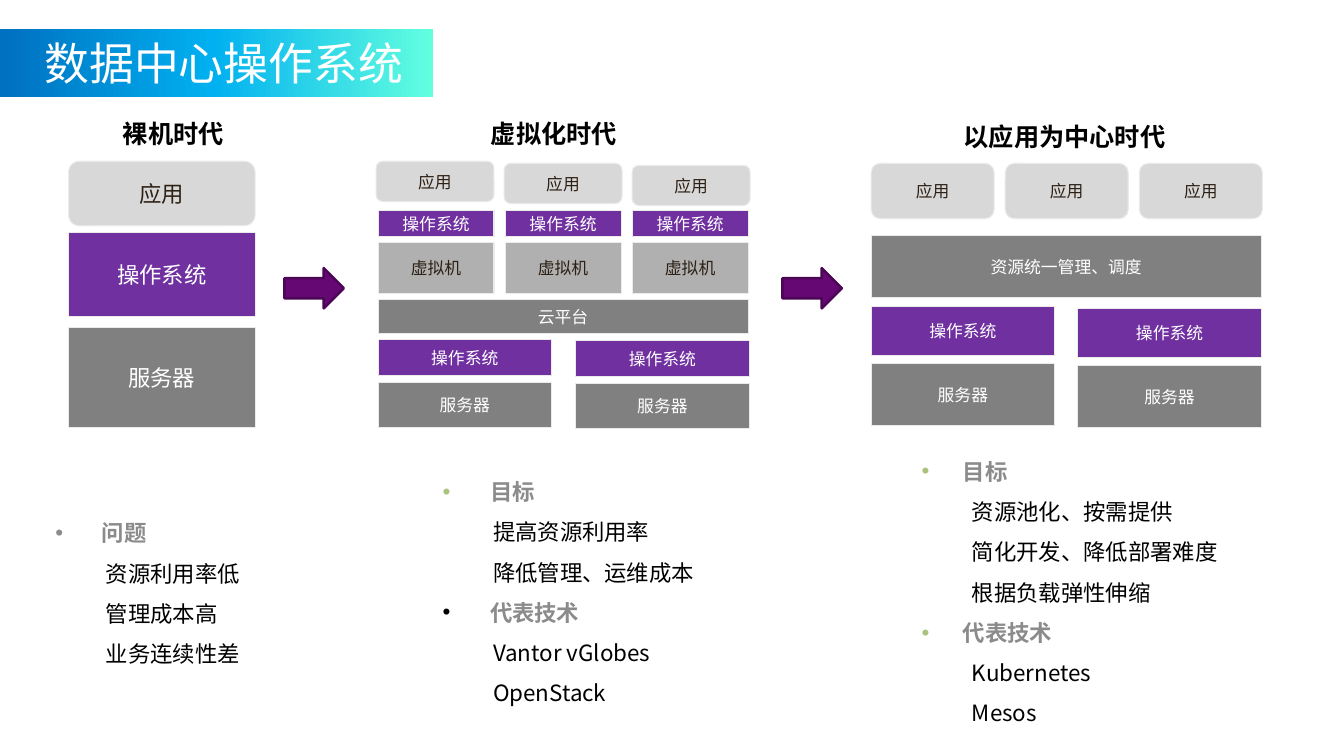
from copy import deepcopy
from dataclasses import dataclass

from lxml.etree import SubElement
from pptx import Presentation
from pptx.dml.color import RGBColor
from pptx.enum.shapes import MSO_SHAPE as Preset
from pptx.enum.text import MSO_ANCHOR as Anchor, MSO_AUTO_SIZE as AutoSize, PP_ALIGN as Align
from pptx.oxml.ns import qn
from pptx.util import Inches, Pt

FONT = "Noto Sans CJK SC"
COLORS = {
    "white": "FFFFFF", "black": "000000", "brown": "2D2015", "border": "EBEBEB",
    "light": "D8D8D8", "medium": "B0B0B0", "dark": "808080", "purple": "7030A0",
    "arrow": "660874", "arrow_line": "4B0656", "topic": "8B8B8B", "green": "A9C37C",
    "blue": "0070C0", "sky": "00B0F0", "mint": "62FFDF",
}


@dataclass
class Style:
    preset: Preset
    fill: str
    text: str


@dataclass
class Row:
    text: str
    style: Style
    left: float
    top: float
    width: float
    height: float
    count: int = 1
    pitch: float = 0
    drop: float = 0


@dataclass
class Topic:
    text: str
    bullet: str
    items: list[str]


@dataclass
class Stage:
    heading: str
    heading_box: tuple[float, float, float, float]
    size: int
    rows: list[Row]
    placeholder: int
    list_box: tuple[float, float, float, float]
    indent: float
    topics: list[Topic]


APP = Style(Preset.ROUNDED_RECTANGLE, "light", "brown")
SYSTEM = Style(Preset.RECTANGLE, "purple", "white")
MACHINE = Style(Preset.RECTANGLE, "medium", "brown")
BASE = Style(Preset.RECTANGLE, "dark", "white")

STAGES = [
    Stage("裸机时代", (1.12, 1.12, 1.21, 0.4), 16, [
        Row("应用", APP, 0.68, 1.6, 1.85, 0.64),
        Row("操作系统", SYSTEM, 0.68, 2.31, 1.85, 0.83),
        Row("服务器", BASE, 0.68, 3.25, 1.85, 0.99),
    ], 1, (0.45, 4.97, 4.75, 1.72), 0.46, [
        Topic("问题", "topic", ["资源利用率低", "管理成本高", "业务连续性差"]),
    ]),
    Stage("虚拟化时代", (4.77, 1.12, 1.46, 0.4), 12, [
        Row("应用", APP, 3.73, 1.6, 1.17, 0.4, 3, 1.27, 0.02),
        Row("操作系统", SYSTEM, 3.75, 2.09, 1.15, 0.26, 3, 1.26),
        Row("虚拟机", MACHINE, 3.75, 2.41, 1.15, 0.5, 3, 1.26),
        Row("云平台", BASE, 3.75, 2.97, 3.67, 0.34),
        Row("操作系统", SYSTEM, 3.75, 3.37, 1.72, 0.36, 2, 1.96, 0.01),
        Row("服务器", BASE, 3.75, 3.79, 1.72, 0.45, 2, 1.96, 0.01),
    ], 2, (4.29, 4.56, 4.75, 2.52), 0.47, [
        Topic("目标", "green", ["提高资源利用率", "降低管理、运维成本"]),
        Topic("代表技术", "black", ["Vantor vGlobes", "OpenStack"]),
    ]),
    Stage("以应用为中心时代", (9.46, 1.15, 2.21, 0.4), 12, [
        Row("应用", APP, 8.64, 1.62, 1.22, 0.55, 3, 1.33),
        Row("资源统一管理、调度", BASE, 8.64, 2.34, 3.87, 0.61),
        Row("操作系统", SYSTEM, 8.64, 3.04, 1.82, 0.49, 2, 2.05, 0.02),
        Row("服务器", BASE, 8.64, 3.61, 1.82, 0.61, 2, 2.05, 0.02),
    ], 4, (9.04, 4.36, 4.75, 2.93), 0.41, [
        Topic("目标", "green", ["资源池化、按需提供", "简化开发、降低部署难度", "根据负载弹性伸缩"]),
        Topic("代表技术", "green", ["Kubernetes", "Mesos"]),
    ]),
]


def rgb(name: str) -> RGBColor:
    return RGBColor.from_string(COLORS[name])


def write(paragraph, text: str, *, size: int, color: str = "black", bold: bool = False,
          font: str = FONT, align: Align = Align.LEFT) -> None:
    paragraph.alignment = align
    paragraph.space_before = Pt(0)
    run = paragraph.add_run()
    run.text = text
    run.font.size = Pt(size)
    run.font.bold = bold
    run.font.color.rgb = rgb(color)
    run.font.name = font
    SubElement(run._r.get_or_add_rPr(), qn("a:ea"), typeface=FONT)


def place(shape, box: tuple[float, float, float, float]) -> None:
    shape.left, shape.top, shape.width, shape.height = map(Inches, box)


def add_shape(shapes, preset: Preset, box: tuple[float, float, float, float]):
    shape = shapes.add_shape(preset, *map(Inches, box))
    shape.shadow.inherit = False
    return shape


def paint(shape, fill: str, line: str, width: float) -> None:
    shape.fill.solid()
    shape.fill.fore_color.rgb = rgb(fill)
    shape.line.color.rgb = rgb(line)
    shape.line.width = Pt(width)


def draw_row(shapes, row: Row, size: int) -> None:
    for index in range(row.count):
        box = (row.left + index * row.pitch, row.top + index * row.drop, row.width, row.height)
        shape = add_shape(shapes, row.style.preset, box)
        paint(shape, row.style.fill, "border", 0.75)
        shape.text_frame.vertical_anchor = Anchor.MIDDLE
        write(shape.text_frame.paragraphs[0], row.text, size=size,
              color=row.style.text, align=Align.CENTER)


def set_bullet(paragraph, margin: float, hanging: float, color: str | None = None) -> None:
    properties = paragraph._p.get_or_add_pPr()
    properties.set("marL", str(Inches(margin)))
    properties.set("indent", str(-Inches(hanging)))
    if color is None:
        SubElement(properties, qn("a:buNone"))
        return
    bullet_color = SubElement(properties, qn("a:buClr"))
    SubElement(bullet_color, qn("a:srgbClr"), val=COLORS[color])
    SubElement(properties, qn("a:buFont"), typeface="Arial")
    SubElement(properties, qn("a:buChar"), char="•")


def draw_list(shape, stage: Stage) -> None:
    place(shape, stage.list_box)
    frame = shape.text_frame
    frame.auto_size = AutoSize.SHAPE_TO_FIT_TEXT
    frame.vertical_anchor = Anchor.TOP
    lines = [(topic, text) for topic in stage.topics for text in [None, *topic.items]]
    for index, (topic, item) in enumerate(lines):
        paragraph = frame.add_paragraph() if index else frame.paragraphs[0]
        paragraph.line_spacing = 1.5
        if item is None:
            set_bullet(paragraph, stage.indent, stage.indent, topic.bullet)
            write(paragraph, topic.text, size=16, color="topic", bold=True)
        else:
            paragraph.level = 1
            set_bullet(paragraph, 0.5, 0)
            write(paragraph, item, size=16)


def draw_stage(slide, stage: Stage) -> None:
    group = slide.shapes.add_group_shape()
    for row in stage.rows:
        draw_row(group.shapes, row, stage.size)
    heading = slide.shapes.add_textbox(*map(Inches, stage.heading_box))
    heading.text_frame.word_wrap = False
    write(heading.text_frame.paragraphs[0], stage.heading, size=18, bold=True, font="Calibri")
    draw_list(slide.placeholders[stage.placeholder], stage)


def draw_title(slide) -> None:
    ribbon = add_shape(slide.shapes, Preset.RECTANGLE, (0, 0.29, 4.29, 0.67))
    ribbon.line.fill.background()
    ribbon.fill.gradient()
    ribbon.fill.gradient_angle = 0
    stops = ribbon.element.find(".//" + qn("a:gsLst"))
    stops.insert(1, deepcopy(stops[0]))
    for stop, position, color in zip(ribbon.fill.gradient_stops, (0, 0.49, 1), ("blue", "sky", "mint")):
        stop.position = position
        stop.color.rgb = rgb(color)
    title = slide.shapes.title
    place(title, (0.34, 0.3, 7.22, 0.64))
    title.text_frame.auto_size = AutoSize.SHAPE_TO_FIT_TEXT
    title.text_frame.vertical_anchor = Anchor.TOP
    write(title.text_frame.paragraphs[0], "数据中心操作系统", size=32, color="white")
    slide.shapes.element.append(title.element)


def main() -> None:
    presentation = Presentation()
    presentation.slide_width, presentation.slide_height = Inches(13.33), Inches(7.5)
    slide = presentation.slides.add_slide(presentation.slide_layouts[4])
    for stage in STAGES:
        draw_stage(slide, stage)
    for left in (2.82, 7.76):
        arrow = add_shape(slide.shapes, Preset.RIGHT_ARROW, (left, 2.66, 0.59, 0.4))
        paint(arrow, "arrow", "arrow_line", 1.75)
    draw_title(slide)
    unused = slide.placeholders[3].element
    unused.getparent().remove(unused)
    presentation.save("out.pptx")


if __name__ == "__main__":
    main()
